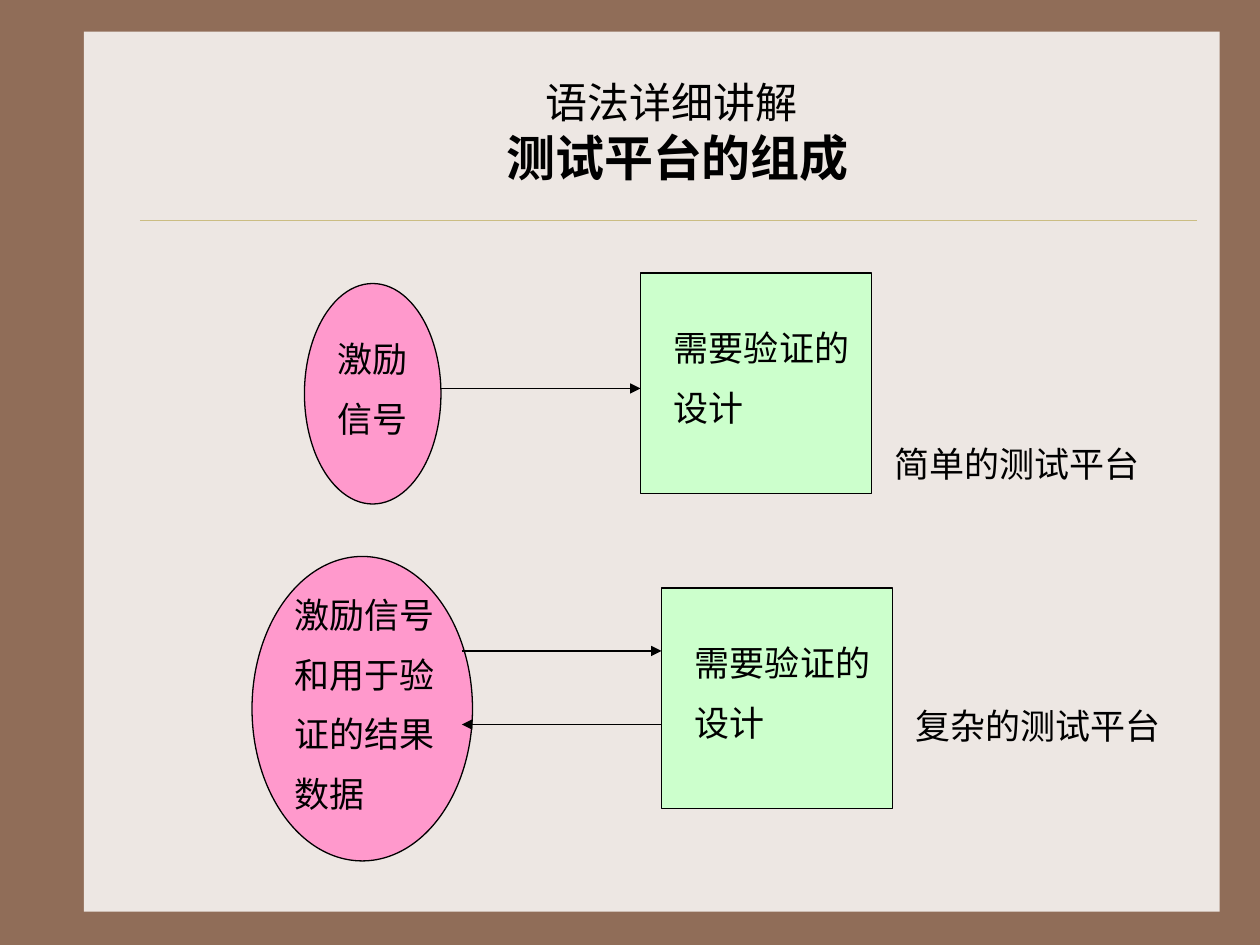
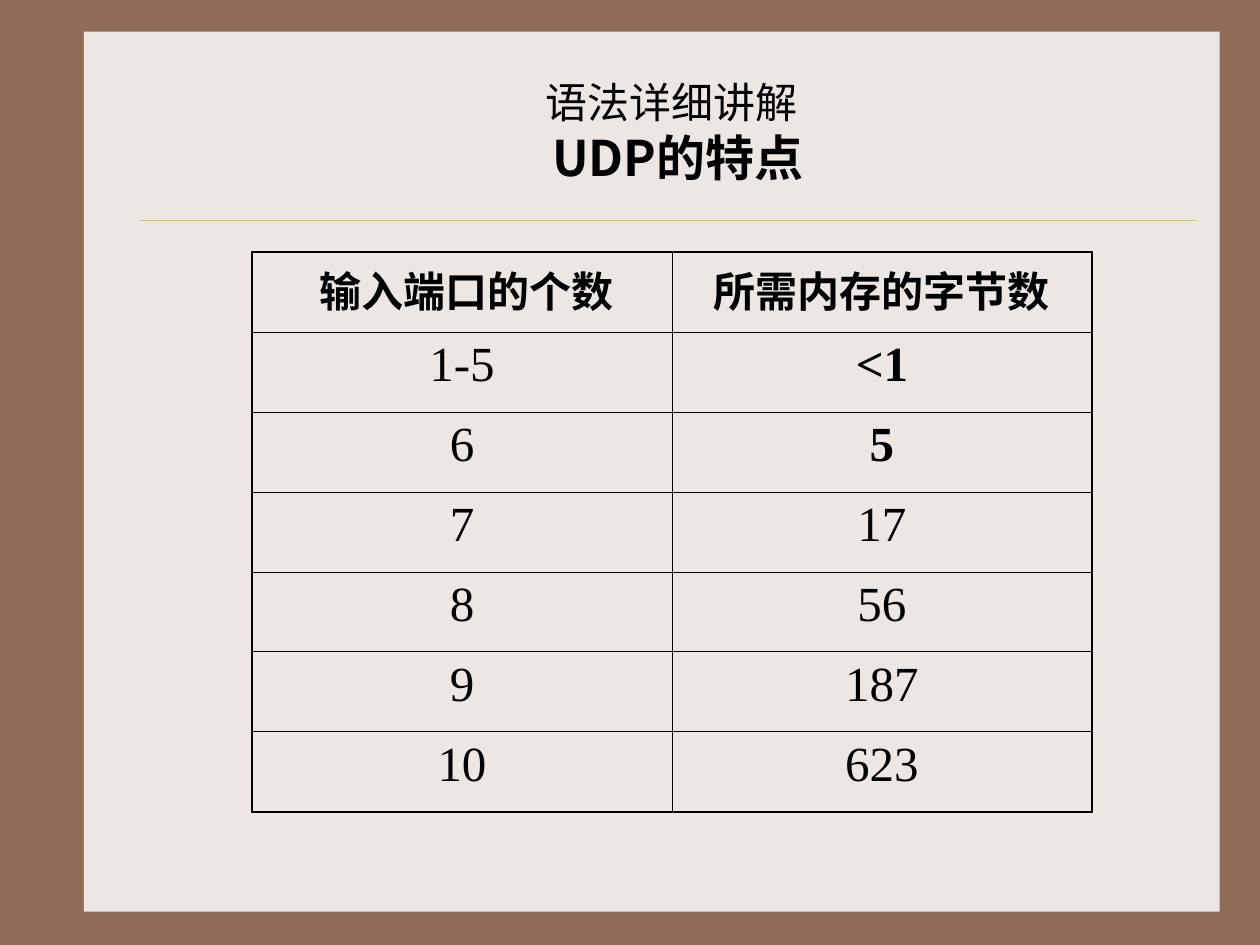
from pptx import Presentation
from pptx.dml.color import RGBColor
from pptx.enum import shapes, text
from pptx.oxml import ns, xmlchemy
from pptx.util import Pt

SANS, SERIF = "Noto Sans CJK SC", "Times New Roman"
BROWN, PAPER, GOLD, BLACK = "906D58", "EDE7E3", "CBBD83", "000000"
PINK, GREEN = "FF99CC", "CCFFCC"


def ink(color, value):
    """Set a colour format to a hex value."""
    color.rgb = RGBColor.from_string(value)


def add_span(para, words, size, bold=False, latin=SANS):
    """Add a black run with its Latin and East Asian fonts."""
    span = para.add_run()
    span.text = words
    span.font.size = Pt(size)
    span.font.bold = bold
    span.font.name = latin
    ink(span.font.color, BLACK)
    east = xmlchemy.OxmlElement("a:ea")
    east.set("typeface", SANS)
    span.font._element.append(east)


deck = Presentation()
deck.slide_width, deck.slide_height = Pt(720), Pt(540)
layout = deck.slide_layouts[5]
layout.background.fill.solid()
ink(layout.background.fill.fore_color, BROWN)

# Both pages: two-line title
pages = []
for heading in (" 测试平台的组成", " UDP的特点"):
    page = deck.slides.add_slide(layout)
    title = page.shapes.title
    title.left, title.top, title.width, title.height = Pt(84), Pt(30), Pt(600), Pt(90)
    title.text_frame.vertical_anchor = text.MSO_ANCHOR.MIDDLE
    title.text_frame.auto_size = text.MSO_AUTO_SIZE.NONE
    para = title.text_frame.paragraphs[0]
    para.alignment = text.PP_ALIGN.CENTER
    para.line_spacing = 1.0
    add_span(para, "语法详细讲解", 24)
    para.add_line_break()
    add_span(para, heading, 28, bold=True)
    pages.append(page)
bench_page, udp_page = pages

# Shared panel and rule, moved to the layout
panel = bench_page.shapes.add_shape(
    shapes.MSO_SHAPE.RECTANGLE, Pt(48), Pt(18), Pt(649), Pt(503))
panel.shadow.inherit = False
panel.fill.solid()
ink(panel.fill.fore_color, PAPER)
panel.line.fill.background()
rule = bench_page.shapes.add_connector(
    shapes.MSO_CONNECTOR.STRAIGHT, Pt(80), Pt(126), Pt(684), Pt(126))
ink(rule.line.color, GOLD)
rule.line.width = Pt(0.25)
rule.element.spPr.append(xmlchemy.OxmlElement("a:effectLst"))
for position, part in enumerate((panel, rule), start=2):
    layout.shapes.element.insert(position, part.element)

# Test benches: stimulus ellipses and designs under test
OVAL, SQUARE = shapes.MSO_SHAPE.OVAL, shapes.MSO_SHAPE.RECTANGLE
for kind, colour, left, top, width, height in (
    (OVAL, PINK, 174, 162, 78, 126),
    (SQUARE, GREEN, 366, 156, 132, 126),
    (OVAL, PINK, 144, 318, 126, 174),
    (SQUARE, GREEN, 378, 336, 132, 126),
):
    block = bench_page.shapes.add_shape(kind, Pt(left), Pt(top), Pt(width), Pt(height))
    block.shadow.inherit = False
    block.fill.solid()
    ink(block.fill.fore_color, colour)
    ink(block.line.color, BLACK)
    block.line.width = Pt(0.75)

for start, end, level in ((252, 366, 222), (264, 378, 372), (378, 264, 414)):
    arrow = bench_page.shapes.add_connector(
        shapes.MSO_CONNECTOR.STRAIGHT, Pt(start), Pt(level), Pt(end), Pt(level))
    ink(arrow.line.color, BLACK)
    arrow.line.width = Pt(0.75)
    head = xmlchemy.OxmlElement("a:tailEnd")
    head.set("type", "triangle")
    arrow.element.spPr.find(ns.qn("a:ln")).append(head)
    arrow.element.spPr.append(xmlchemy.OxmlElement("a:effectLst"))

design = ("需要验证的", "设计")
for left, top, width, height, lines in (
    (186, 192, 72, 63, ("激励", "信号")),
    (378, 186, 120, 63, design),
    (161, 338.4, 96, 139, ("激励信号", "和用于验", "证的结果", "数据")),
    (390, 366, 120, 63, design),
    (504, 252, 180, 29, ("简单的测试平台",)),
    (516, 402, 156, 29, ("复杂的测试平台",)),
):
    box = bench_page.shapes.add_textbox(Pt(left), Pt(top), Pt(width), Pt(height))
    frame = box.text_frame
    frame.word_wrap = True
    for number, line in enumerate(lines):
        para = frame.add_paragraph() if number else frame.paragraphs[0]
        para.line_spacing = 0.9
        para.space_before = Pt(12.5 if number else 0)
        add_span(para, line, 20)

# UDP memory table
memory = (
    (" 输入端口的个数", "所需内存的字节数"),
    ("1-5", "<1"),
    ("6", "5"),
    ("7", "17"),
    ("8", "56"),
    ("9", "187"),
    ("10", "623"),
)
last = len(memory) - 1
table = udp_page.shapes.add_table(
    len(memory), 2, Pt(144), Pt(144), Pt(480), Pt(320)).table
table.first_row = table.horz_banding = False
for r, values in enumerate(memory):
    for c, value in enumerate(values):
        cell = table.cell(r, c)
        para = cell.text_frame.paragraphs[0]
        para.alignment = text.PP_ALIGN.CENTER
        bold = r == 0 or value in ("<1", "5")
        add_span(para, value, 28 if r else 24, bold, SERIF)
        outer_sides = {"L": c == 0, "R": c == 1, "T": r == 0, "B": r == last}
        for side, outer in outer_sides.items():
            border = xmlchemy.OxmlElement(f"a:ln{side}")
            border.set("w", str(Pt(1.08 if outer else 0.45)))
            fill = xmlchemy.OxmlElement("a:solidFill")
            colour = xmlchemy.OxmlElement("a:srgbClr")
            colour.set("val", BLACK)
            fill.append(colour)
            border.append(fill)
            cell._tc.get_or_add_tcPr().append(border)
        cell.fill.background()

deck.save("out.pptx")
